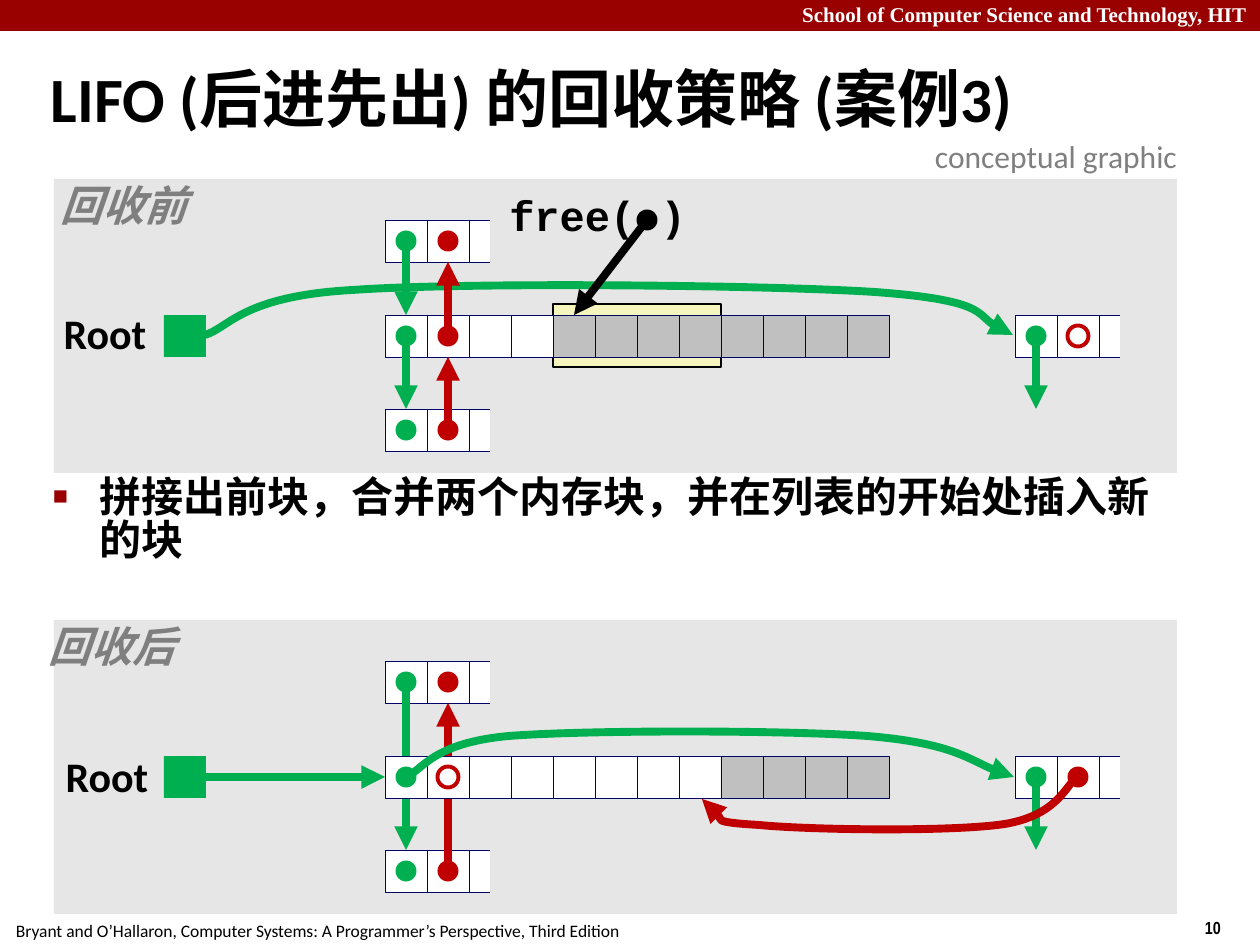
from lxml import etree
from pptx import Presentation
from pptx.dml.color import RGBColor
from pptx.enum.shapes import MSO_CONNECTOR, MSO_SHAPE
from pptx.enum.text import MSO_ANCHOR, MSO_AUTO_SIZE, PP_ALIGN
from pptx.oxml.ns import qn
from pptx.util import Pt

RECTANGLE, OVAL = MSO_SHAPE.RECTANGLE, MSO_SHAPE.OVAL
STRAIGHT = MSO_CONNECTOR.STRAIGHT
LEFT, CENTER, RIGHT = PP_ALIGN.LEFT, PP_ALIGN.CENTER, PP_ALIGN.RIGHT
TOP, MIDDLE = MSO_ANCHOR.TOP, MSO_ANCHOR.MIDDLE
NO_RESIZE = MSO_AUTO_SIZE.NONE
SITE_TOP, SITE_LEFT, SITE_BOTTOM, SITE_RIGHT = range(4)

SCALE = 914400 / 126
WIDTH, HEIGHT = 1260, 945
CELL, HALF, DOT = 42, 21, 21
LIST_X, TAIL_X, ROOT_X = 385, 1015, 164
ROWS = (41, 136, 230)
PANEL_X, PANEL_WIDTH, PANEL_HEIGHT = 54, 1123, 294
BEFORE_Y, AFTER_Y = 179, 620
COLORS = {
    "banner": "990000", "panel": "E6E6E6", "merge": "F6F5BD", "free": "FFFFFF",
    "used": "C0C0C0", "edge": "000066", "next": "00B050", "prev": "C00000",
    "black": "000000", "white": "FFFFFF", "muted": "7F7F7F",
}


def emu(length):
    return round(length * SCALE)


def color(name):
    return RGBColor.from_string(COLORS[name])


class Canvas:
    def __init__(self, page):
        self.page = page
        self.shapes = page.shapes

    def paint(self, shape, fill=None, line=None, width=0.25):
        shape.shadow.inherit = False
        if fill:
            shape.fill.solid()
            shape.fill.fore_color.rgb = color(fill)
        else:
            shape.fill.background()
        if line:
            shape.line.color.rgb = color(line)
            shape.line.width = Pt(width)
        else:
            shape.line.fill.background()
        return shape

    def box(self, x, y, width, height, fill, line=None, weight=0.25, kind=RECTANGLE):
        shape = self.shapes.add_shape(kind, emu(x), emu(y), emu(width), emu(height))
        return self.paint(shape, fill, line, weight)

    def dot(self, center, name, hollow=False):
        x, y = (value - DOT / 2 for value in center)
        fill, line = (None, name) if hollow else (name, None)
        self.box(x, y, DOT, DOT, fill, line, 2.25, OVAL)

    def cells(self, x, y, fills):
        return [self.box(x + CELL * column, y, CELL, CELL, fill, "edge")
                for column, fill in enumerate(fills)]

    def stub(self, x, y):
        cells = self.cells(x, y, ["free"] * 3)
        self.box(x + CELL * 2 + HALF, y - 10, CELL, 63, "panel")
        return cells

    def arrowhead(self, shape):
        line = shape._element.spPr.find(qn("a:ln"))
        etree.SubElement(line, qn("a:tailEnd"), type="triangle")

    def link(self, begin, end, name, source=None, target=None):
        connector = self.shapes.add_connector(STRAIGHT, *map(emu, (*begin, *end)))
        connector.line.color.rgb = color(name)
        connector.line.width = Pt(4.5)
        self.arrowhead(connector)
        etree.SubElement(connector._element.spPr, qn("a:effectLst"))
        if source:
            connector.begin_connect(*source)
        if target:
            connector.end_connect(*target)

    def curve(self, points, name):
        builder = self.shapes.build_freeform(*points[0], scale=SCALE)
        builder.add_line_segments(points[1:], close=False)
        shape = self.paint(builder.convert_to_shape(), line=name, width=4.5)
        outline = shape._element.find(".//" + qn("a:path"))
        steps = outline.findall(qn("a:lnTo"))
        for first in range(0, len(steps), 3):
            bend = etree.SubElement(outline, qn("a:cubicBezTo"))
            for step in steps[first:first + 3]:
                bend.append(step[0])
                outline.remove(step)
        self.arrowhead(shape)

    def text(self, area, words, size, name="black", font="Calibri", bold=True,
             italic=False, align=LEFT, anchor=TOP, spacing=1.0, inset=13, wrap=False):
        box = self.shapes.add_textbox(*map(emu, area))
        frame = box.text_frame
        frame_format = {
            "word_wrap": wrap, "auto_size": NO_RESIZE, "vertical_anchor": anchor,
            "margin_left": emu(inset), "margin_right": emu(inset),
            "margin_top": emu(6), "margin_bottom": emu(6),
        }
        for key, value in frame_format.items():
            setattr(frame, key, value)
        para = frame.paragraphs[0]
        para.alignment = align
        para.line_spacing = spacing
        span = para.add_run()
        span.text = words
        span_format = {"name": font, "size": Pt(size), "bold": bold, "italic": italic}
        for key, value in span_format.items():
            setattr(span.font, key, value)
        span.font.color.rgb = color(name)
        return para

    def label(self, x, y, width, words, **style):
        self.text((x, y, width, 58), words, 24, align=CENTER, spacing=0.9, inset=6, **style)

    def bullet(self, para):
        para.space_before = Pt(6)
        properties = para._p.get_or_add_pPr()
        properties.set("marL", str(emu(47)))
        properties.set("indent", str(emu(-47)))
        tint = etree.SubElement(properties, qn("a:buClr"))
        etree.SubElement(tint, qn("a:srgbClr"), val=COLORS["banner"])
        etree.SubElement(properties, qn("a:buSzPct"), val="60000")
        etree.SubElement(properties, qn("a:buFont"), typeface="Arial")
        etree.SubElement(properties, qn("a:buChar"), char="■")


def middle(x, y, column=0):
    return x + CELL * column + HALF, y + HALF


def draw_frame(canvas):
    canvas.box(0, 0, WIDTH, 31, "banner")
    canvas.text((0, -4, WIDTH, 38), "School of Computer Science and Technology, HIT", 12,
                "white", "Times New Roman", align=RIGHT, wrap=True)
    canvas.text((1192, 911, 95, 34), "10", 10, font="Arial Narrow")
    canvas.text((3, 914, 631, 34), "Bryant and O’Hallaron, Computer Systems: "
                "A Programmer’s Perspective, Third Edition", 10, bold=False)
    canvas.text((38, 49, 1201, 108), "LIFO (后进先出) 的回收策略 (案例3)", 36,
                anchor=MIDDLE, spacing=0.87, wrap=True)
    canvas.bullet(canvas.text(
        (40, 472, 1145, 108), "拼接出前块，合并两个内存块，并在列表的开始处插入新的块", 24,
        spacing=0.85, wrap=True))
    canvas.text((922, 131, 268, 50), "conceptual graphic", 18, "muted", bold=False)
    for y in (BEFORE_Y, AFTER_Y):
        canvas.box(PANEL_X, y, PANEL_WIDTH, PANEL_HEIGHT, "panel")


def draw_dots(canvas, rows, hollow_head, hollow_tail):
    for y in rows:
        canvas.dot(middle(LIST_X, y), "next")
        canvas.dot(middle(LIST_X, y, 1), "prev", hollow_head and y == rows[1])
    canvas.dot(middle(TAIL_X, rows[1]), "next")
    canvas.dot(middle(TAIL_X, rows[1], 1), "prev", hollow_tail)


def draw_tail(canvas, rows):
    canvas.stub(TAIL_X, rows[1])
    canvas.link(middle(TAIL_X, rows[1]), (TAIL_X + HALF, rows[2]), "next")


def draw_link(canvas, column, begin_y, end_y, name, cell, site):
    x, y = middle(LIST_X, begin_y, column)
    canvas.link((x, y), (x, end_y), name, target=(cell, site))


def draw_before(canvas):
    rows = top, center, bottom = [BEFORE_Y + row for row in ROWS]
    canvas.box(LIST_X + CELL * 4, center - 11, CELL * 4, 63, "merge", "black", 0.75)
    canvas.curve([(205, 335), (229, 328), (242, 296), (353, 290), (465, 282), (764, 285),
                  (874, 292), (984, 300), (984, 326), (1013, 335)], "next")
    canvas.box(ROOT_X, center, CELL, CELL, "next")
    block = canvas.cells(LIST_X, center, ["free"] * 4 + ["used"] * 8)
    upper, lower = (canvas.stub(LIST_X, y) for y in (top, bottom))
    draw_link(canvas, 0, top, center, "next", block[0], SITE_TOP)
    draw_link(canvas, 0, center, bottom, "next", lower[0], SITE_TOP)
    draw_link(canvas, 1, bottom, center + CELL, "prev", block[1], SITE_BOTTOM)
    draw_link(canvas, 1, center, top + CELL, "prev", upper[1], SITE_BOTTOM)
    draw_tail(canvas, rows)
    draw_dots(canvas, rows, hollow_head=False, hollow_tail=True)
    canvas.label(503, 189, 189, "free( )", font="Courier New")
    canvas.dot((647, 220), "black")
    canvas.link((647, 220), (574, center), "black", target=(block[4], SITE_TOP))
    canvas.label(57, 307, 96, "Root")
    canvas.label(54, BEFORE_Y, 139, "回收前", name="muted", italic=True)


def draw_after(canvas):
    rows = top, center, bottom = [AFTER_Y + row for row in ROWS]
    upper, lower = (canvas.stub(LIST_X, y) for y in (top, bottom))
    draw_link(canvas, 0, top, bottom, "next", lower[0], SITE_TOP)
    draw_link(canvas, 1, bottom, top + CELL, "prev", upper[1], SITE_BOTTOM)
    block = canvas.cells(LIST_X, center, ["free"] * 8 + ["used"] * 4)
    root = canvas.box(ROOT_X, center, CELL, CELL, "next")
    canvas.link((ROOT_X + CELL, center + HALF), (LIST_X, center + HALF), "next",
                (root, SITE_RIGHT), (block[0], SITE_LEFT))
    draw_tail(canvas, rows)
    draw_dots(canvas, rows, hollow_head=True, hollow_tail=False)
    canvas.curve([(406, 777), (423, 770), (432, 743), (509, 736), (586, 730), (782, 730),
                  (867, 736), (951, 743), (984, 769), (1014, 777)], "next")
    canvas.curve([(1077, 777), (1066, 785), (1058, 815), (1005, 824), (953, 832), (809, 830),
                  (759, 825), (708, 822), (713, 805), (702, 799)], "prev")
    canvas.label(59, 750, 96, "Root")
    canvas.label(42, AFTER_Y, 139, "回收后", name="muted", italic=True)


def main():
    deck = Presentation()
    deck.slide_width, deck.slide_height = emu(WIDTH), emu(HEIGHT)
    canvas = Canvas(deck.slides.add_slide(deck.slide_layouts[6]))
    draw_frame(canvas)
    draw_before(canvas)
    draw_after(canvas)
    deck.save("out.pptx")


if __name__ == "__main__":
    main()
